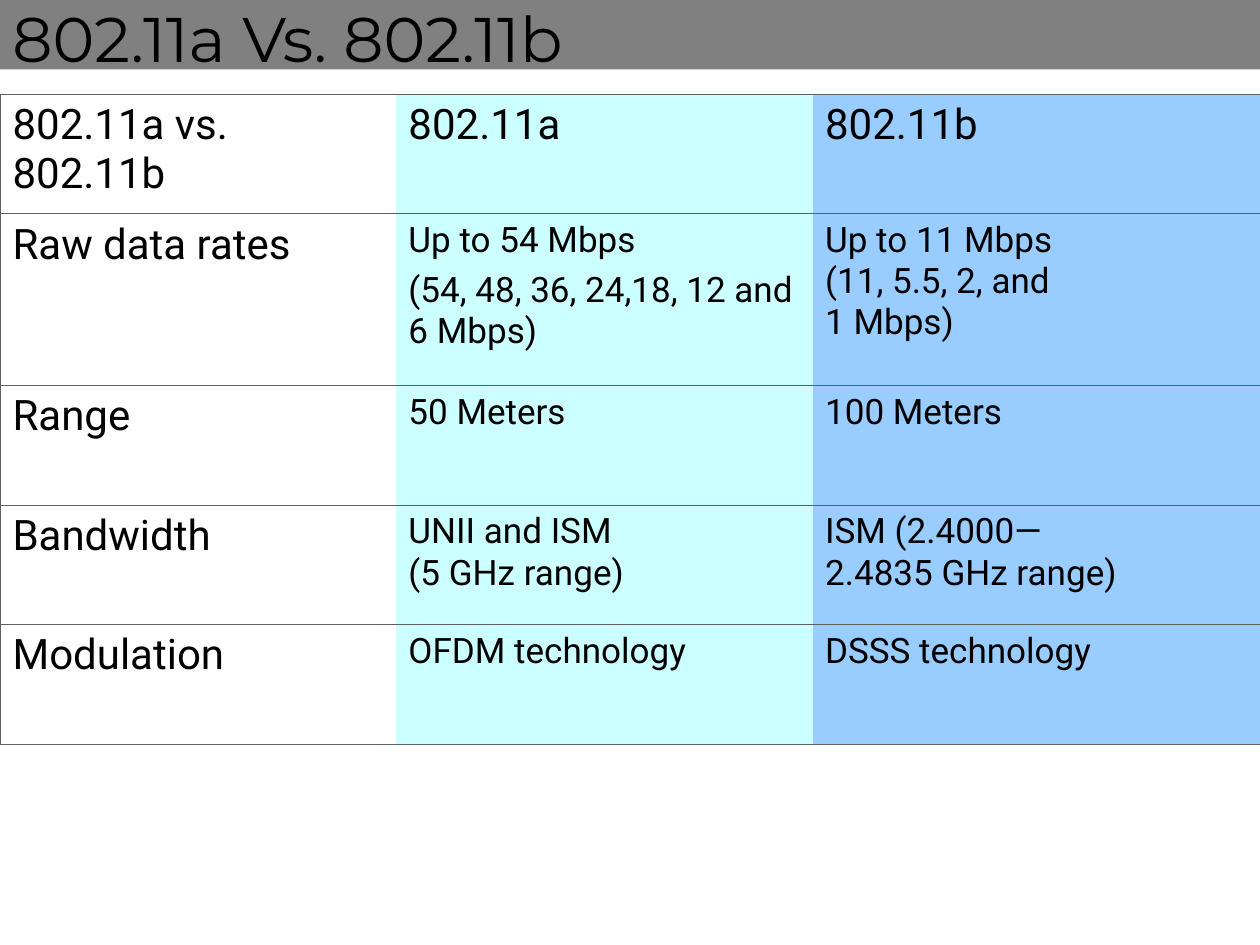
from lxml.etree import SubElement
from pptx import Presentation
from pptx.dml.color import RGBColor
from pptx.enum.shapes import MSO_SHAPE as Shape
from pptx.enum.text import MSO_ANCHOR as Anchor
from pptx.oxml.ns import qn
from pptx.util import Cm, Pt

BLACK = RGBColor(0x00, 0x00, 0x00)
BAR_GRAY = RGBColor(0x80, 0x80, 0x80)
RULE_GRAY = RGBColor(0x5F, 0x5F, 0x5F)
PALE_CYAN = RGBColor(0xCC, 0xFF, 0xFF)
PALE_BLUE = RGBColor(0x99, 0xCC, 0xFF)

COLUMN_FILLS = [None, PALE_CYAN, PALE_BLUE]
COLUMN_WIDTHS = [7.98, 8.4, 9.02]
ROW_HEIGHTS = [2.41, 3.46, 2.41, 2.41, 2.41]

# Each cell is a list of paragraphs; a newline is a line break
ROWS = [
    [["802.11a vs. 802.11b"], ["802.11a"], ["802.11b"]],
    [["Raw data rates"],
     ["Up to 54 Mbps", "(54, 48, 36, 24,18, 12 and 6 Mbps)"],
     ["Up to 11 Mbps \n(11, 5.5, 2, and \n1 Mbps)"]],
    [["Range"], ["50 Meters"], ["100 Meters"]],
    [["Bandwidth"], ["UNII and ISM \n(5 GHz range)"],
     ["ISM (2.4000—\n2.4835 GHz range)"]],
    [["Modulation"], ["OFDM technology"], ["DSSS technology"]],
]


class SlideBuilder:
    title_font = "Montserrat"
    body_font = "Roboto"

    def __init__(self, slide):
        self.slide = slide

    def bar(self, left, top, width, height, color):
        bar = self.slide.shapes.add_shape(
            Shape.RECTANGLE, Cm(left), Cm(top), Cm(width), Cm(height))
        bar.shadow.inherit = False
        bar.fill.solid()
        bar.fill.fore_color.rgb = color
        bar.line.fill.background()

    def add_text(self, para, text, font, size):
        for index, line in enumerate(text.split("\n")):
            if index:
                para.add_line_break()
            span = para.add_run()
            span.text = line
            span.font.name = font
            span.font.size = Pt(size)
            span.font.color.rgb = BLACK

    def title(self, text, left, top, width, height):
        box = self.slide.shapes.add_textbox(
            Cm(left), Cm(top), Cm(width), Cm(height))
        frame = box.text_frame
        frame.word_wrap = True
        frame.vertical_anchor = Anchor.MIDDLE
        self.add_text(frame.paragraphs[0], text, self.title_font, 36)

    def borders(self, cell, shown):
        """Rule the named sides (L, R, T, B) and clear the others."""
        properties = cell._tc.get_or_add_tcPr()
        for side in "LRTB":
            line = SubElement(properties, qn(f"a:ln{side}"), w=str(Pt(0.45)))
            if side in shown:
                fill = SubElement(line, qn("a:solidFill"))
                SubElement(fill, qn("a:srgbClr"), val=str(RULE_GRAY))
            else:
                SubElement(line, qn("a:noFill"))

    def cell(self, cell, texts, size, sides, color):
        self.borders(cell, sides)
        if color is None:
            cell.fill.background()
        else:
            cell.fill.solid()
            cell.fill.fore_color.rgb = color
        frame = cell.text_frame
        for index, text in enumerate(texts):
            para = frame.add_paragraph() if index else frame.paragraphs[0]
            para.space_before = Pt(size / 4)
            self.add_text(para, text, self.body_font, size)

    def table(self, rows, left, top, widths, heights, fills):
        table = self.slide.shapes.add_table(
            len(rows), len(widths), Cm(left), Cm(top),
            Cm(sum(widths)), Cm(sum(heights))).table
        table.first_row = table.horz_banding = False
        for column, width in zip(table.columns, widths):
            column.width = Cm(width)
        for row, height in zip(table.rows, heights):
            row.height = Cm(height)
        outer_sides = ["LTB", "TB", "RTB"]
        for r, row in enumerate(rows):
            for c, texts in enumerate(row):
                size = 24 if r == 0 or c == 0 else 20
                self.cell(table.cell(r, c), texts, size,
                          outer_sides[c], fills[c])


def main():
    deck = Presentation()
    deck.slide_width, deck.slide_height = Cm(25.4), Cm(19.05)
    page = SlideBuilder(deck.slides.add_slide(deck.slide_layouts[6]))

    # Title on its bar
    page.bar(0, 0, 25.4, 1.4, BAR_GRAY)
    page.title("802.11a Vs. 802.11b", 0, -0.2, 25.4, 1.9)

    # Comparison table
    page.table(ROWS, 0, 1.9, COLUMN_WIDTHS, ROW_HEIGHTS, COLUMN_FILLS)

    deck.save("out.pptx")


if __name__ == "__main__":
    main()
